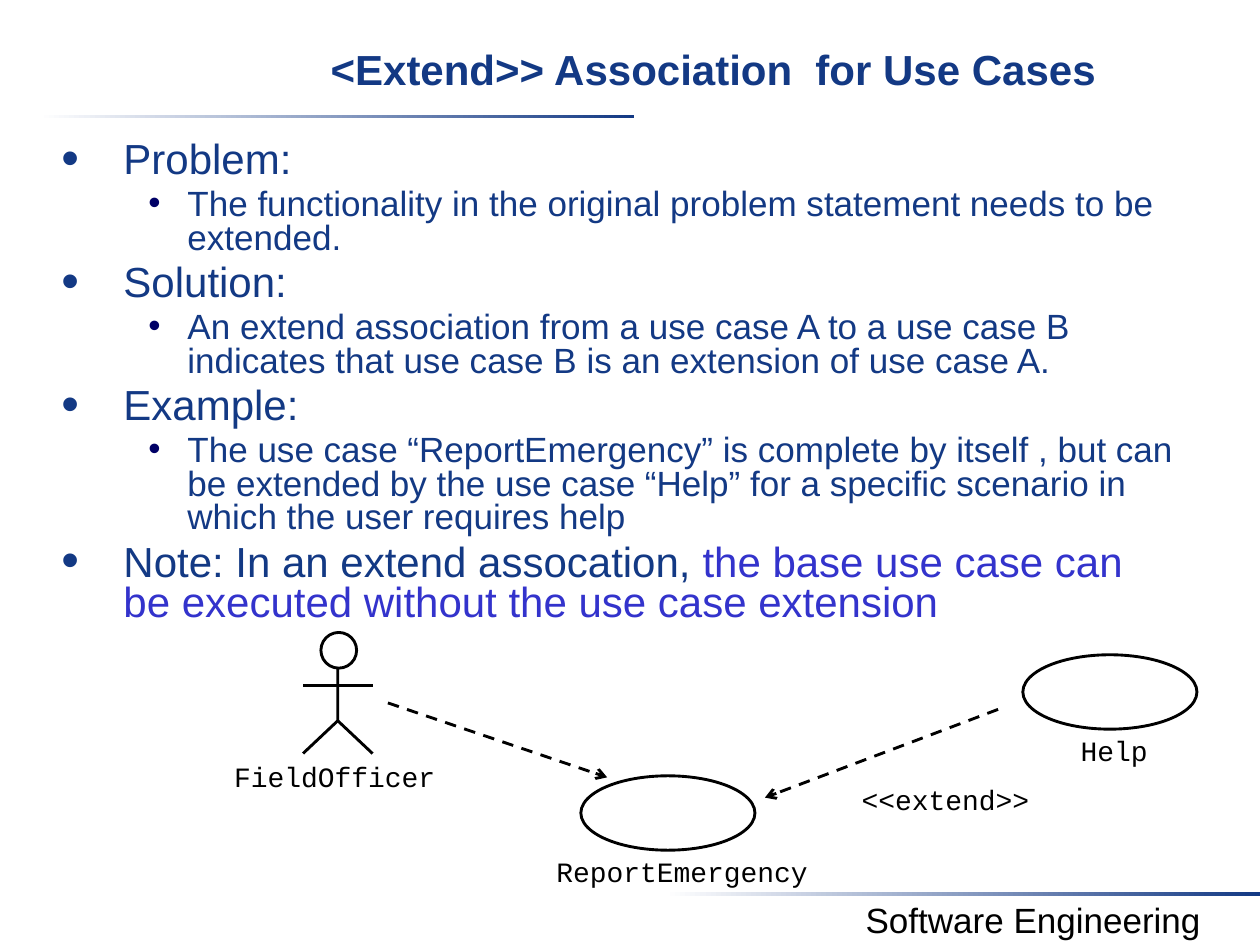
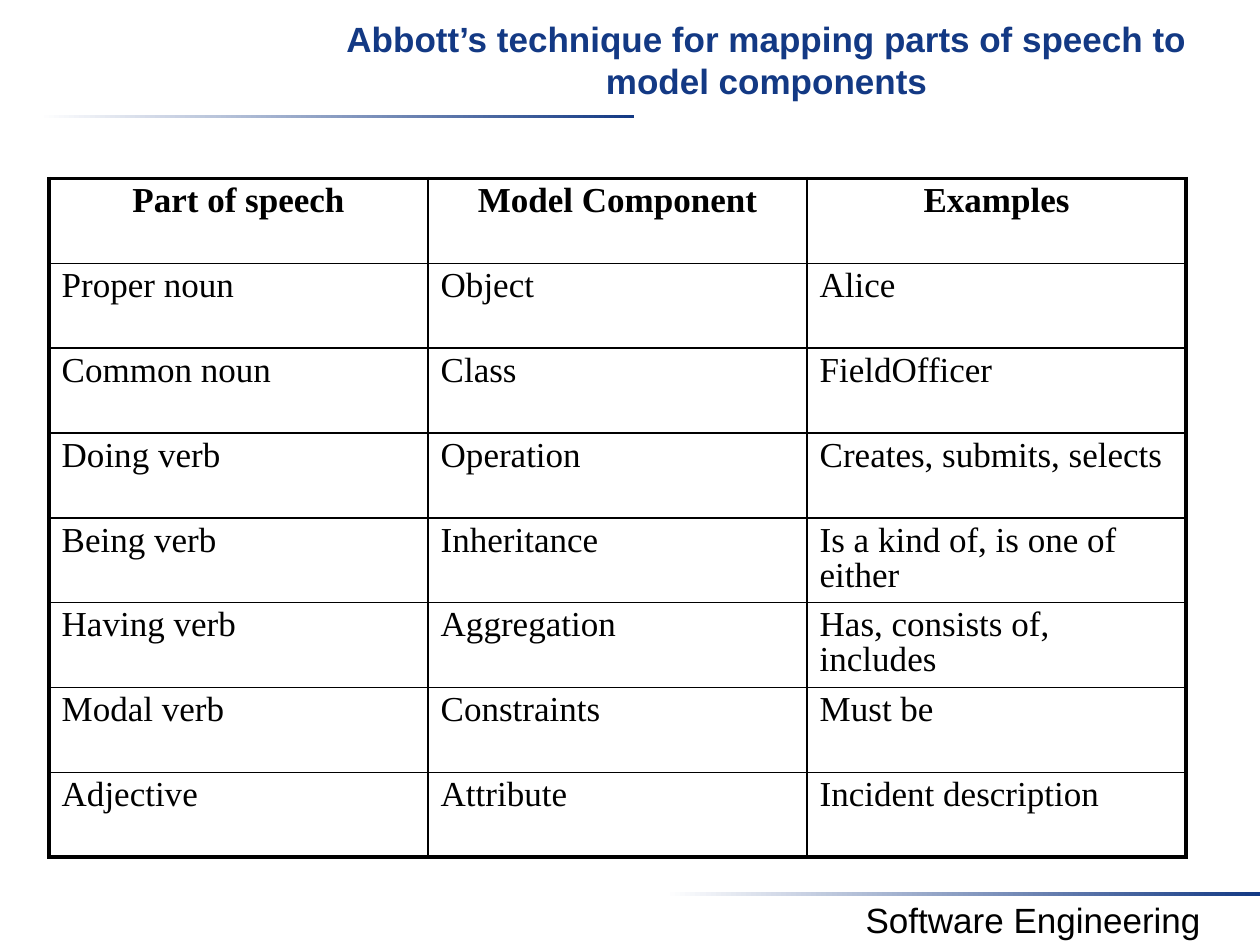
from pptx import Presentation
from pptx.dml.color import RGBColor
from pptx.enum.dml import MSO_LINE
from pptx.enum.shapes import MSO_CONNECTOR, MSO_SHAPE
from pptx.enum.text import MSO_ANCHOR, PP_ALIGN
from pptx.oxml.ns import qn
from pptx.util import Cm, Pt
from lxml import etree

NAVY = RGBColor(0x13, 0x39, 0x84)
BULLET_NAVY = RGBColor(0x00, 0x00, 0x66)
ACCENT_BLUE = RGBColor(0x33, 0x33, 0xCC)
BLACK = RGBColor(0, 0, 0)
WHITE = RGBColor(255, 255, 255)

CENTER, LEFT = PP_ALIGN.CENTER, PP_ALIGN.LEFT
TOP = MSO_ANCHOR.TOP
DASH = MSO_LINE.DASH
STRAIGHT = MSO_CONNECTOR.STRAIGHT
RECTANGLE, OVAL = MSO_SHAPE.RECTANGLE, MSO_SHAPE.OVAL

SANS, MONO, SERIF = "Arial", "Courier New", "Times New Roman"
STROKE = Pt(1.63)
BLANK_LAYOUT = 6

TOPICS = [
    (0, ["Problem:"]),
    (1, ["The functionality in the original problem statement needs to be extended."]),
    (0, ["Solution:"]),
    (1, ["An extend association from a use case A to a use case B indicates "
         "that use case B is an extension of use case A."]),
    (0, ["Example:"]),
    (1, ["The use case “ReportEmergency” is complete by itself , but can be extended "
         "by the use case “Help” for a specific scenario in which the user requires help"]),
    (0, ["Note: In an extend assocation, ",
         "the base use case can be executed without the use case extension"]),
]

SPEECH_ROWS = [
    ("Part of speech", "Model Component", "Examples"),
    ("Proper noun", "Object", "Alice"),
    ("Common noun", "Class", "FieldOfficer"),
    ("Doing verb", "Operation", "Creates, submits, selects"),
    ("Being verb", "Inheritance", "Is a kind of, is one of either"),
    ("Having verb", "Aggregation", "Has, consists of, includes"),
    ("Modal verb", "Constraints", "Must be"),
    ("Adjective", "Attribute", "Incident description"),
]


def add_xml(parent, tag, **attributes):
    return etree.SubElement(parent, qn(tag), attributes)


def set_font(paragraph, name, size, color, bold=False):
    font = paragraph.font
    font.name, font.size, font.bold = name, Pt(size), bold
    font.color.rgb = color


def add_text(page, text, left, top, width, height, name, size, color=BLACK,
             bold=False, wrap=True):
    box = page.shapes.add_textbox(Cm(left), Cm(top), Cm(width), Cm(height))
    frame = box.text_frame
    frame.word_wrap = wrap
    frame.vertical_anchor = TOP
    paragraph = frame.paragraphs[0]
    paragraph.text = text
    paragraph.alignment = CENTER
    set_font(paragraph, name, size, color, bold)
    return frame


def add_title(page, text, left, top, width, size):
    frame = add_text(page, text, left, top, width, 1.96, SANS, size, NAVY, bold=True)
    frame.margin_top = Cm(0.15)


def add_label(page, text, center, top, width):
    frame = add_text(page, text, center - width / 2, top, width, 0.69,
                     MONO, 16, wrap=False)
    frame.margin_left = frame.margin_right = 0
    frame.margin_top = frame.margin_bottom = 0


def add_band(page, left, top):
    """Thin rule fading from white to navy."""
    band = page.shapes.add_shape(RECTANGLE, Cm(left), Cm(top), Cm(11.99), Cm(0.08))
    band.shadow.inherit = False
    band.line.fill.background()
    band.fill.gradient()
    band.fill.gradient_angle = 0
    for stop, color in zip(band.fill.gradient_stops, (WHITE, NAVY)):
        stop.color.rgb = color


def add_page(deck):
    page = deck.slides.add_slide(deck.slide_layouts[BLANK_LAYOUT])
    add_band(page, 0.79, 2.31)
    add_band(page, 13.41, 17.98)
    add_text(page, "Software Engineering", 16.26, 17.98, 9.14, 1.12, SANS, 20)
    return page


def outline(shape):
    shape.shadow.inherit = False
    shape.line.color.rgb = BLACK
    shape.line.width = STROKE


def add_ellipse(page, left, top, width, height, fill=None):
    oval = page.shapes.add_shape(OVAL, Cm(left), Cm(top), Cm(width), Cm(height))
    outline(oval)
    if fill is None:
        oval.fill.background()
    else:
        oval.fill.solid()
        oval.fill.fore_color.rgb = fill


def add_use_case(page, name, left, top, label_center, label_width):
    add_ellipse(page, left, top, 3.51, 1.5)
    add_label(page, name, label_center, top + 1.58, label_width)


def add_line(page, start, end, dashed_arrow=False):
    x1, y1, x2, y2 = map(Cm, (*start, *end))
    line = page.shapes.add_connector(STRAIGHT, x1, y1, x2, y2)
    line.line.color.rgb = BLACK
    line.line.width = STROKE
    properties = line._element.spPr
    if dashed_arrow:
        line.line.dash_style = DASH
        add_xml(properties.find(qn("a:ln")), "a:tailEnd", type="arrow")
    add_xml(properties, "a:effectLst")


def add_actor(page, name, center, top):
    """Stick figure with its name underneath."""
    reach, hip, foot = 0.7, top + 1.78, top + 2.44
    builder = page.shapes.build_freeform(Cm(center), Cm(top + 0.56))
    builder.add_line_segments(
        [(Cm(center), Cm(hip)), (Cm(center - reach), Cm(foot))], close=False)
    body = builder.convert_to_shape()
    outline(body)
    body.fill.background()
    add_line(page, (center, hip), (center + reach, foot))
    add_line(page, (center - reach, top + 1.07), (center + reach, top + 1.07))
    add_ellipse(page, center - 0.34, top, 0.72, 0.72, WHITE)
    add_label(page, name, center - 0.06, top + 2.57, 4.3)


def set_bullet(paragraph, level):
    properties = paragraph._p.get_or_add_pPr()
    margin, indent = [(1.25, -1.25), (2.54, -0.79)][level]
    properties.set("marL", str(Cm(margin)))
    properties.set("indent", str(Cm(indent)))
    color = add_xml(properties, "a:buClr")
    add_xml(color, "a:srgbClr", val=str((NAVY, BULLET_NAVY)[level]))
    add_xml(properties, "a:buSzPct", val=("120000", "100000")[level])
    add_xml(properties, "a:buFont", typeface=SANS)
    add_xml(properties, "a:buChar", char="•")


def add_topics(page, topics):
    box = page.shapes.add_textbox(Cm(0.99), Cm(2.75), Cm(22.94), Cm(12.47))
    frame = box.text_frame
    frame.word_wrap = True
    for index, (level, texts) in enumerate(topics):
        paragraph = frame.add_paragraph() if index else frame.paragraphs[0]
        size = (24, 20)[level]
        paragraph.level = level
        paragraph.alignment = LEFT
        paragraph.line_spacing = 0.8
        if index:
            paragraph.space_before = Pt(size * 0.2)
        set_bullet(paragraph, level)
        set_font(paragraph, SANS, size, NAVY)
        for position, text in enumerate(texts):
            span = paragraph.add_run()
            span.text = text
            if position:
                span.font.color.rgb = ACCENT_BLUE


def set_borders(cell, **widths):
    """Black cell borders; widths in points, keyed by L, R, T and B."""
    properties = cell._tc.get_or_add_tcPr()
    for position, (side, width) in enumerate(widths.items()):
        line = etree.Element(qn(f"a:ln{side}"), w=str(Pt(width)))
        fill = add_xml(line, "a:solidFill")
        add_xml(fill, "a:srgbClr", val=str(BLACK))
        properties.insert(position, line)


def add_speech_table(page, rows):
    row_count, column_count = len(rows), len(rows[0])
    column_width, row_height = 7.64, 1.71
    table = page.shapes.add_table(
        row_count, column_count, Cm(0.99), Cm(3.6),
        Cm(column_width * column_count), Cm(row_height * row_count)).table
    table.first_row = table.horz_banding = False
    for column in table.columns:
        column.width = Cm(column_width)
    for r, texts in enumerate(rows):
        table.rows[r].height = Cm(row_height)
        for c, text in enumerate(texts):
            cell = table.cell(r, c)
            cell.fill.background()
            cell.margin_bottom = 0
            paragraph = cell.text_frame.paragraphs[0]
            paragraph.text = text
            paragraph.alignment = LEFT if r else CENTER
            paragraph.line_spacing = 0.9
            set_font(paragraph, SERIF, 20, BLACK, bold=r == 0)
            set_borders(cell,
                        L=1 if c else 2.25,
                        R=2.25 if c == column_count - 1 else 1,
                        T=1 if r else 2.25,
                        B=2.25 if r == row_count - 1 else 1)


def build_extend_page(deck):
    page = add_page(deck)
    add_title(page, "<Extend>> Association  for Use Cases", 4.83, 0.73, 19.1, 24)
    add_topics(page, TOPICS)
    add_actor(page, "FieldOfficer", 6.81, 12.75)
    add_use_case(page, "ReportEmergency", 11.71, 15.64, 13.75, 5.4)
    add_use_case(page, "Help", 20.62, 13.2, 22.46, 2)
    add_line(page, (7.82, 14.17), (12.24, 15.67), dashed_arrow=True)
    add_line(page, (20.12, 14.3), (15.42, 16.08), dashed_arrow=True)
    add_label(page, "<<extend>>", 19.06, 15.77, 3.8)


def build_abbott_page(deck):
    page = add_page(deck)
    add_title(page, "Abbott’s technique for mapping parts of speech to model components",
              6.35, 0.2, 18.21, 20)
    add_speech_table(page, SPEECH_ROWS)


def main():
    deck = Presentation()
    deck.slide_width, deck.slide_height = Cm(25.4), Cm(19.05)
    build_extend_page(deck)
    build_abbott_page(deck)
    deck.save("out.pptx")


if __name__ == "__main__":
    main()
